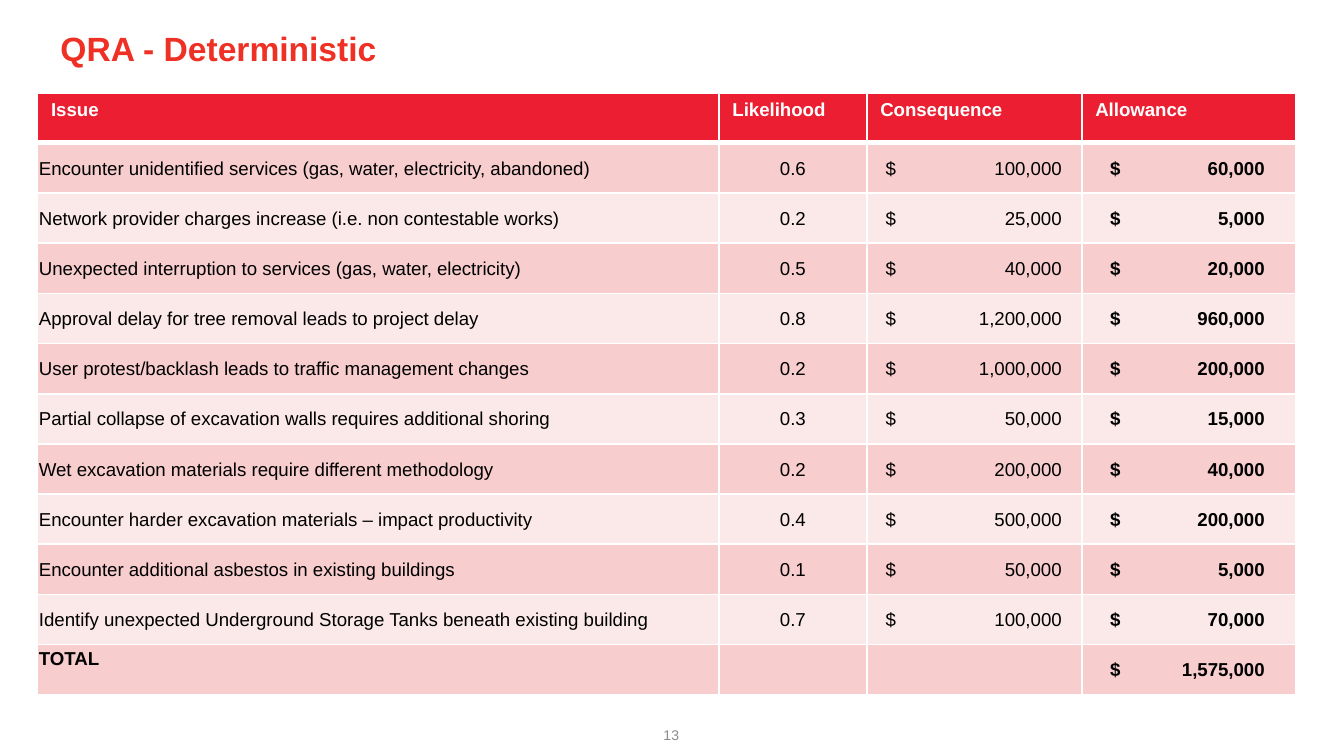
from lxml.etree import SubElement
from pptx import Presentation
from pptx.dml.color import RGBColor
from pptx.enum.text import MSO_ANCHOR, MSO_AUTO_SIZE, PP_ALIGN
from pptx.oxml import parse_xml
from pptx.oxml.ns import nsdecls, qn
from pptx.util import Inches, Pt

TITLE_RED = RGBColor(0xEE, 0x31, 0x24)
HEADER_RED = RGBColor(0xEB, 0x1E, 0x32)
DARK_BAND = RGBColor(0xF7, 0xCD, 0xCE)
LIGHT_BAND = RGBColor(0xFB, 0xE8, 0xE8)
WHITE = RGBColor(0xFF, 0xFF, 0xFF)
BLACK = RGBColor(0, 0, 0)
GREY = RGBColor(0x8C, 0x8C, 0x8C)

HEADERS = ["Issue", "Likelihood", "Consequence", "Allowance"]
RISKS = [
    ("Encounter unidentified services (gas, water, electricity, abandoned)", "0.6", "100,000", "60,000"),
    ("Network provider charges increase (i.e. non contestable works)", "0.2", "25,000", "5,000"),
    ("Unexpected interruption to services (gas, water, electricity)", "0.5", "40,000", "20,000"),
    ("Approval delay for tree removal leads to project delay", "0.8", "1,200,000", "960,000"),
    ("User protest/backlash leads to traffic management changes", "0.2", "1,000,000", "200,000"),
    ("Partial collapse of excavation walls requires additional shoring", "0.3", "50,000", "15,000"),
    ("Wet excavation materials require different methodology", "0.2", "200,000", "40,000"),
    ("Encounter harder excavation materials – impact productivity", "0.4", "500,000", "200,000"),
    ("Encounter additional asbestos in existing buildings", "0.1", "50,000", "5,000"),
    ("Identify unexpected Underground Storage Tanks beneath existing building", "0.7", "100,000", "70,000"),
]
TOTAL = ("TOTAL", "", "", "1,575,000")
COLUMN_WIDTHS = [5.07, 1.1, 1.6, 1.59]
# Money columns: left inset of the dollar sign, right tab stop of the amount
MONEY_COLUMNS = {2: (0.14, 1.31), 3: (0.21, 1.15)}


def style_text(paragraph, size, color, bold=False):
    for run in paragraph.runs:
        run.font.name = "Arial"
        run.font.size = Pt(size)
        run.font.bold = bold
        run.font.color.rgb = color


def add_borders(cell, top, bottom):
    properties = cell._tc.get_or_add_tcPr()
    for position, (side, width) in enumerate([("L", 1), ("R", 1), ("T", top), ("B", bottom)]):
        properties.insert(position, parse_xml(
            f'<a:ln{side} {nsdecls("a")} w="{Pt(width)}"><a:solidFill>'
            f'<a:srgbClr val="{WHITE}"/></a:solidFill></a:ln{side}>'))


# Widescreen 16:9 slide
prs = Presentation()
prs.slide_width = Inches(10)
prs.slide_height = Inches(10) * 9 // 16
slide = prs.slides.add_slide(prs.slide_layouts[5])

# Title
title = slide.shapes.title
title.left, title.top, title.width, title.height = (Inches(v) for v in (0.45, 0.21, 6.9, 0.48))
heading = title.text_frame
heading.text = "QRA - Deterministic"
heading.auto_size = MSO_AUTO_SIZE.NONE
heading.vertical_anchor = MSO_ANCHOR.TOP
heading.paragraphs[0].alignment = PP_ALIGN.LEFT
style_text(heading.paragraphs[0], 18, TITLE_RED, True)

# Slide number
number_box = slide.shapes.add_textbox(Inches(4.83), Inches(5.32), Inches(0.33), Inches(0.3))
number = number_box.text_frame
number.text = "13"
number.word_wrap = True
number.vertical_anchor = MSO_ANCHOR.MIDDLE
number.paragraphs[0].alignment = PP_ALIGN.CENTER
style_text(number.paragraphs[0], 7.5, GREY)

for frame in (heading, number):
    frame.margin_left = frame.margin_right = frame.margin_top = frame.margin_bottom = 0

# Risk table
rows = [HEADERS, *RISKS, TOTAL]
last = len(rows) - 1
risk_table = slide.shapes.add_table(len(rows), len(HEADERS), Inches(0.28), Inches(0.69),
                                    Inches(9.36), Inches(4.48)).table
for column, width in zip(risk_table.columns, COLUMN_WIDTHS):
    column.width = Inches(width)

for r, values in enumerate(rows):
    for c, value in enumerate(values):
        cell = risk_table.cell(r, c)
        paragraph = cell.text_frame.paragraphs[0]
        cell.fill.solid()
        add_borders(cell, top=3 if r == 1 else 1, bottom=3 if r == 0 else 1)
        if r == 0:
            cell.fill.fore_color.rgb = HEADER_RED
            paragraph.text = value
            style_text(paragraph, 10, WHITE, True)
            continue

        cell.fill.fore_color.rgb = DARK_BAND if r % 2 else LIGHT_BAND
        cell.vertical_anchor = MSO_ANCHOR.MIDDLE
        cell.margin_left = cell.margin_right = cell.margin_top = Inches(0.01)
        cell.margin_bottom = 0
        if c in MONEY_COLUMNS and value:
            inset, stop = MONEY_COLUMNS[c]
            cell.margin_left = Inches(inset)
            tabs = SubElement(paragraph._p.get_or_add_pPr(), qn("a:tabLst"))
            SubElement(tabs, qn("a:tab"), pos=str(Inches(stop)), algn="r")
            value = f"$\t{value}"
        elif c == 1:
            paragraph.alignment = PP_ALIGN.CENTER
        paragraph.text = value
        style_text(paragraph, 10, BLACK, c == 3 or r == last)

# The total label sits at the top of its row
total_label = risk_table.cell(last, 0)
total_label.vertical_anchor = MSO_ANCHOR.TOP
total_label.margin_top = Inches(0.03)

prs.save("out.pptx")
